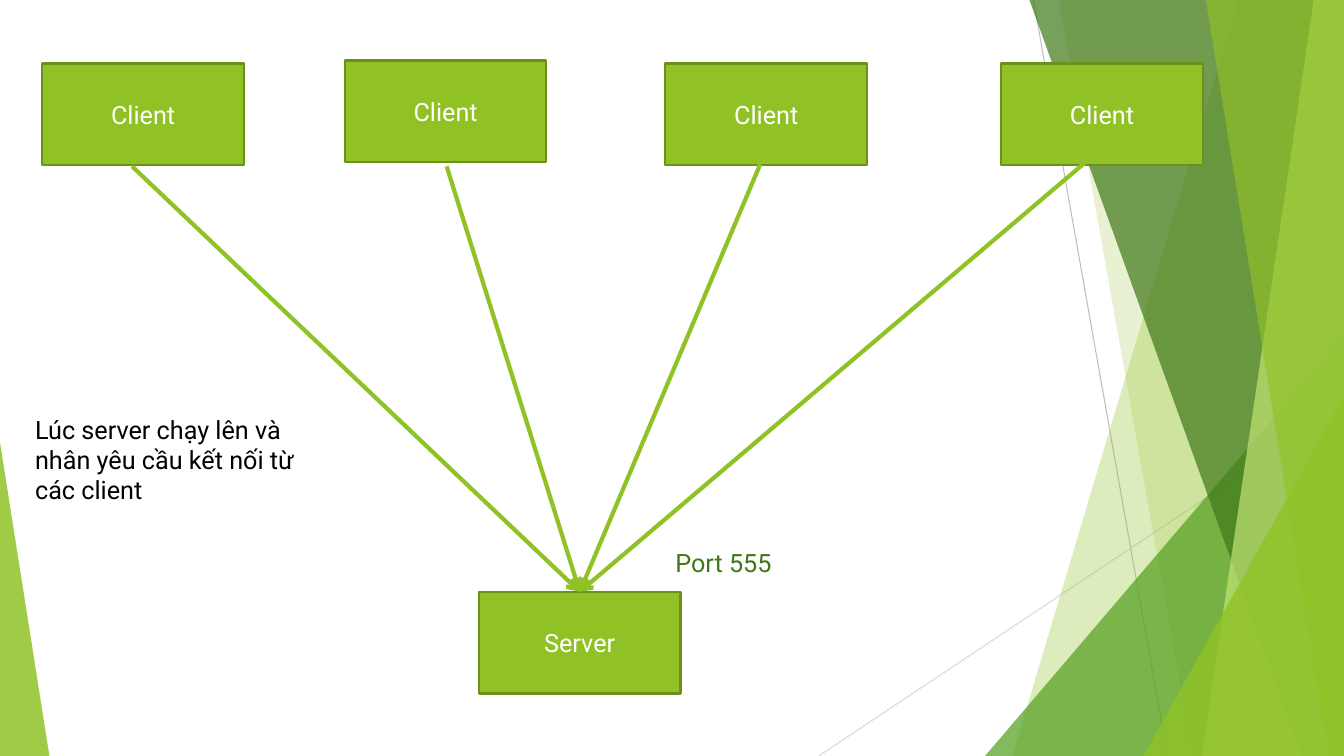
from dataclasses import dataclass

from lxml.etree import SubElement
from pptx import Presentation
from pptx.dml.color import RGBColor
from pptx.enum.shapes import MSO_CONNECTOR as Link, MSO_SHAPE as Kind
from pptx.enum.text import MSO_ANCHOR as Anchor, MSO_AUTO_SIZE as Fit, PP_ALIGN as Align
from pptx.oxml.ns import qn
from pptx.shapes.autoshape import Shape
from pptx.shapes.connector import Connector
from pptx.text.text import TextFrame
from pptx.util import Inches, Pt

COLS, ROWS = 13.33, 7.5
COL = ROW = Inches(1)
LIME, OLIVE, FOREST = "90C226", "6B901C", "3F7819"


@dataclass
class Facet:
    top: float
    foot: float
    color: str
    alpha: int


@dataclass
class Wedge:
    col: float
    row: float
    wide: float
    peak: float
    color: str
    alpha: int


@dataclass
class Node:
    name: str
    col: float
    row: float


@dataclass
class Client:
    node: Node
    start: tuple[float, float]


@dataclass
class Note:
    text: str
    col: float
    row: float
    wide: float
    high: float
    color: str


DECOR = [
    Facet(12.28, 10.04, LIME, 30),
    Facet(10.5, 11.83, LIME, 20),
    Wedge(9.77, 3.33, 3.56, 1, "54A021", 72),
    Facet(10.21, 12.91, FOREST, 70),
    Facet(13.03, 11.92, "C0E474", 70),
    Facet(11.96, 13.18, LIME, 65),
    Wedge(11.34, 3.93, 1.99, 1, LIME, 80),
    Wedge(0, 4.39, 0.49, 0, LIME, 85),
]
SERVER = Node("Server", 4.75, 5.87)
CLIENTS = [
    Client(Node("Client", 0.42, 0.63), (1.31, 1.65)),
    Client(Node("Client", 3.42, 0.6), (4.43, 1.65)),
    Client(Node("Client", 6.6, 0.63), (7.54, 1.63)),
    Client(Node("Client", 9.93, 0.63), (10.93, 1.47)),
]
NOTES = [
    Note("Port 555", 6.6, 5.38, 1.56, 0.4, FOREST),
    Note("Lúc server chạy lên và nhân yêu cầu kết nối từ các client",
         0.25, 4.06, 2.8, 1.01, "000000"),
]

deck = Presentation()
deck.slide_width, deck.slide_height = int(COLS * COL), int(ROWS * ROW)
slide = deck.slides.add_slide(deck.slide_layouts[6])
shapes = slide.shapes


def rgb(code: str) -> RGBColor:
    """Turn a hex string into a colour."""
    return RGBColor.from_string(code)


def spot(col: float, row: float) -> tuple[int, int]:
    """Turn grid columns and rows into slide lengths."""
    return int(col * COL), int(row * ROW)


def tint(shape: Shape, color: str, alpha: int) -> None:
    """Fill a shape with a see-through colour and no outline."""
    shape.shadow.inherit = False
    shape.line.fill.background()
    shape.fill.solid()
    shape.fill.fore_color.rgb = rgb(color)
    tone = shape.element.spPr.find(qn("a:solidFill"))[0]
    SubElement(tone, qn("a:alpha"), val=str(alpha * 1000))


def write(frame: TextFrame, text: str, color: str) -> None:
    """Set the text of a frame in the slide's font."""
    frame.word_wrap = True
    frame.text = text
    font = frame.paragraphs[0].font
    font.name, font.size = "Roboto", Pt(18)
    font.color.rgb = rgb(color)


def draw_line(start: tuple[float, float], end: tuple[float, float],
              color: str, width: float) -> Connector:
    """Draw a straight line between two grid points."""
    line = shapes.add_connector(Link.STRAIGHT, *spot(*start), *spot(*end))
    line.line.color.rgb = rgb(color)
    line.line.width = Pt(width)
    SubElement(line.element.spPr, qn("a:effectLst"))
    return line


def draw_facet(part: Facet) -> None:
    """Draw a full-height facet that reaches the right edge."""
    form = shapes.build_freeform(*spot(part.top, 0))
    rest = [(COLS, 0), (COLS, ROWS), (part.foot, ROWS)]
    form.add_line_segments([spot(*point) for point in rest], close=True)
    tint(form.convert_to_shape(), part.color, part.alpha)


def draw_wedge(part: Wedge) -> None:
    """Draw a triangle that stands on the bottom edge."""
    shape = shapes.add_shape(Kind.ISOSCELES_TRIANGLE, *spot(part.col, part.row),
                             *spot(part.wide, ROWS - part.row))
    shape.adjustments[0] = part.peak
    tint(shape, part.color, part.alpha)


def draw_node(node: Node) -> Shape:
    """Draw a labelled box."""
    box = shapes.add_shape(Kind.RECTANGLE, *spot(node.col, node.row), *spot(2, 1.01))
    box.shadow.inherit = False
    box.fill.solid()
    box.fill.fore_color.rgb = rgb(LIME)
    box.line.color.rgb = rgb(OLIVE)
    box.line.width = Pt(1.5)
    write(box.text_frame, node.name, "FFFFFF")
    box.text_frame.vertical_anchor = Anchor.MIDDLE
    box.text_frame.paragraphs[0].alignment = Align.CENTER
    return box


def draw_arrow(start: tuple[float, float], goal: Shape) -> None:
    """Draw an arrow to the middle of a box's top side."""
    line = draw_line(start, (SERVER.col + 1, SERVER.row), LIME, 3)
    line.end_connect(goal, 0)
    SubElement(line.line._get_or_add_ln(), qn("a:tailEnd"), type="arrow")


def draw_note(note: Note) -> None:
    """Draw a free text."""
    box = shapes.add_textbox(*spot(note.col, note.row), *spot(note.wide, note.high))
    write(box.text_frame, note.text, note.color)
    box.text_frame.auto_size = Fit.SHAPE_TO_FIT_TEXT


def main() -> None:
    """Build the slide and save it."""
    draw_line((10.25, 0), (11.58, ROWS), "BFBFBF", 0.75)
    draw_line((COLS, 4.03), (8.12, ROWS), "D9D9D9", 0.75)
    for part in DECOR:
        if isinstance(part, Facet):
            draw_facet(part)
        else:
            draw_wedge(part)
    server = draw_node(SERVER)
    for client in CLIENTS:
        draw_node(client.node)
        draw_arrow(client.start, server)
    for note in NOTES:
        draw_note(note)
    deck.save("out.pptx")


if __name__ == "__main__":
    main()
